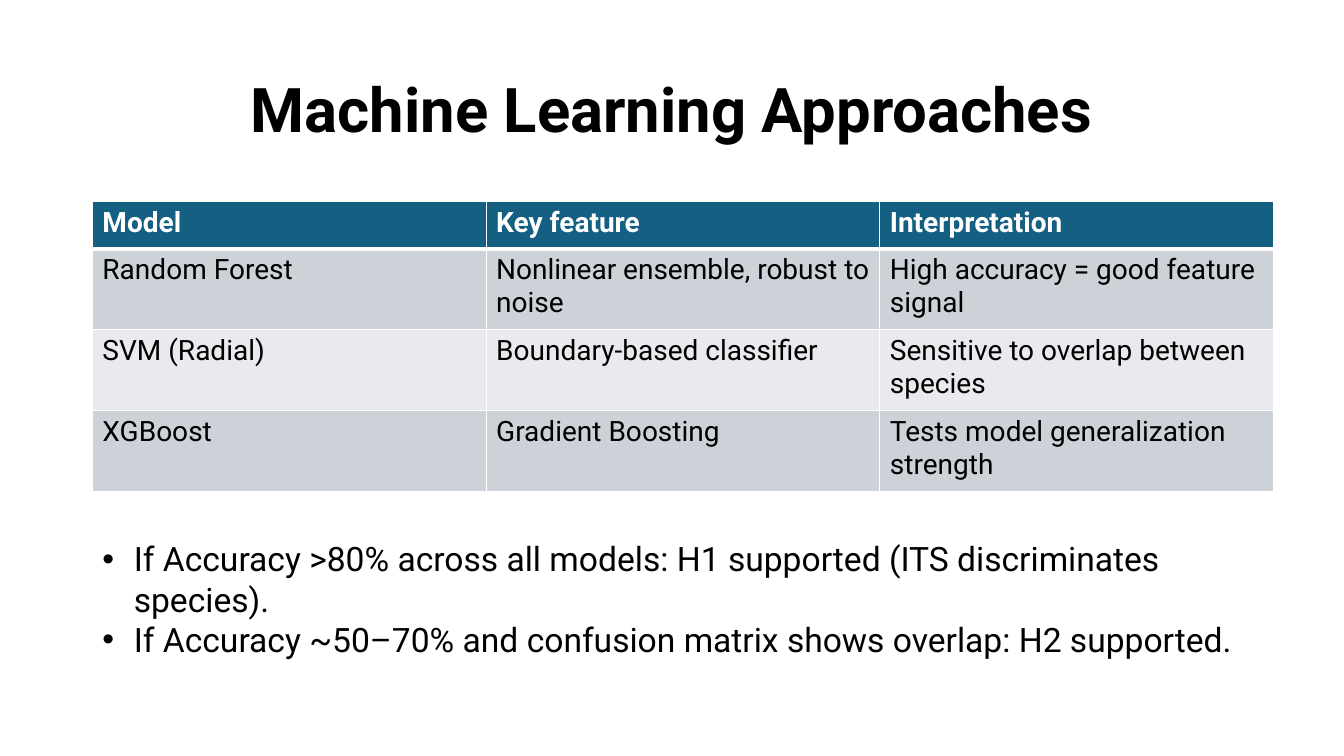
from pptx import Presentation
from pptx.dml.color import RGBColor
from pptx.enum.text import MSO_ANCHOR, PP_ALIGN
from pptx.oxml.ns import qn
from pptx.util import Pt
from lxml import etree

EMU_PER_PX = 9525
FONT = "Roboto"
BLACK, WHITE = "000000", "FFFFFF"
HEADER_FILL = "156082"
BAND_FILLS = ("CCD2D8", "E8EAED")
CENTER = PP_ALIGN.CENTER
TOP, MIDDLE = MSO_ANCHOR.TOP, MSO_ANCHOR.MIDDLE
LEFT = 88
COL_WIDTH = 375
HEADER_HEIGHT, ROW_HEIGHT = 45, 77
BULLET_INDENT = 30

TITLE = "Machine Learning Approaches"
MODELS = [
    ("Model", "Key feature", "Interpretation"),
    ("Random Forest", "Nonlinear ensemble, robust to noise", "High accuracy = good feature signal"),
    ("SVM (Radial)", "Boundary-based classifier", "Sensitive to overlap between species"),
    ("XGBoost", "Gradient Boosting", "Tests model generalization strength"),
]
HYPOTHESES = [
    "If Accuracy >80% across all models: H1 supported (ITS discriminates species).",
    "If Accuracy ~50–70% and confusion matrix shows overlap: H2 supported.",
]


def px(n):
    return n * EMU_PER_PX


def rgb(color):
    return RGBColor.from_string(color)


def add_run(p, text, size, color=BLACK, bold=False):
    r = p.add_run()
    r.text = text
    r.font.name = FONT
    r.font.size = Pt(size)
    r.font.bold = bold
    r.font.color.rgb = rgb(color)


def add_textbox(s, x, y, w, h, anchor=TOP):
    tf = s.shapes.add_textbox(px(x), px(y), px(w), px(h)).text_frame
    tf.word_wrap = True
    tf.vertical_anchor = anchor
    return tf


def add_title(s, text):
    p = add_textbox(s, LEFT, 38, 1104, 139, MIDDLE).paragraphs[0]
    p.alignment = CENTER
    p.line_spacing = 0.9
    add_run(p, text, 44, bold=True)


def set_border(cell, side, points):
    tcPr = cell._tc.get_or_add_tcPr()
    ln = etree.SubElement(tcPr, qn(f"a:ln{side}"), w=str(Pt(points)))
    fill = etree.SubElement(ln, qn("a:solidFill"))
    etree.SubElement(fill, qn("a:srgbClr"), val=WHITE)


def fill_cell(cell, text, row):
    header = row == 0
    widths = {"L": 1, "R": 1, "T": 3 if row == 1 else 1, "B": 3 if header else 1}
    for side, points in widths.items():
        set_border(cell, side, points)
    cell.fill.solid()
    cell.fill.fore_color.rgb = rgb(HEADER_FILL if header else BAND_FILLS[(row - 1) % 2])
    p = cell.text_frame.paragraphs[0]
    add_run(p, text, 20, WHITE if header else BLACK, header)


def add_model_table(s, rows):
    n_rows, n_cols = len(rows), len(rows[0])
    height = HEADER_HEIGHT + (n_rows - 1) * ROW_HEIGHT
    frame = s.shapes.add_table(n_rows, n_cols, px(LEFT), px(192), px(n_cols * COL_WIDTH), px(height))
    table = frame.table
    for column in table.columns:
        column.width = px(COL_WIDTH)
    for i, texts in enumerate(rows):
        table.rows[i].height = px(ROW_HEIGHT if i else HEADER_HEIGHT)
        for j, text in enumerate(texts):
            fill_cell(table.cell(i, j), text, i)


def set_bullet(p):
    pPr = p._p.get_or_add_pPr()
    pPr.set("marL", str(px(BULLET_INDENT)))
    pPr.set("indent", str(-px(BULLET_INDENT)))
    etree.SubElement(pPr, qn("a:buFont"), typeface="Arial")
    etree.SubElement(pPr, qn("a:buChar"), char="•")


def add_bullets(s, texts):
    tf = add_textbox(s, LEFT, 508, 1115, 126)
    for i, text in enumerate(texts):
        p = tf.add_paragraph() if i else tf.paragraphs[0]
        set_bullet(p)
        add_run(p, text, 24)


def main():
    prs = Presentation()
    prs.slide_width = px(1280)
    prs.slide_height = px(720)
    s = prs.slides.add_slide(prs.slide_layouts[6])
    add_title(s, TITLE)
    add_model_table(s, MODELS)
    add_bullets(s, HYPOTHESES)
    prs.save("out.pptx")


if __name__ == "__main__":
    main()
